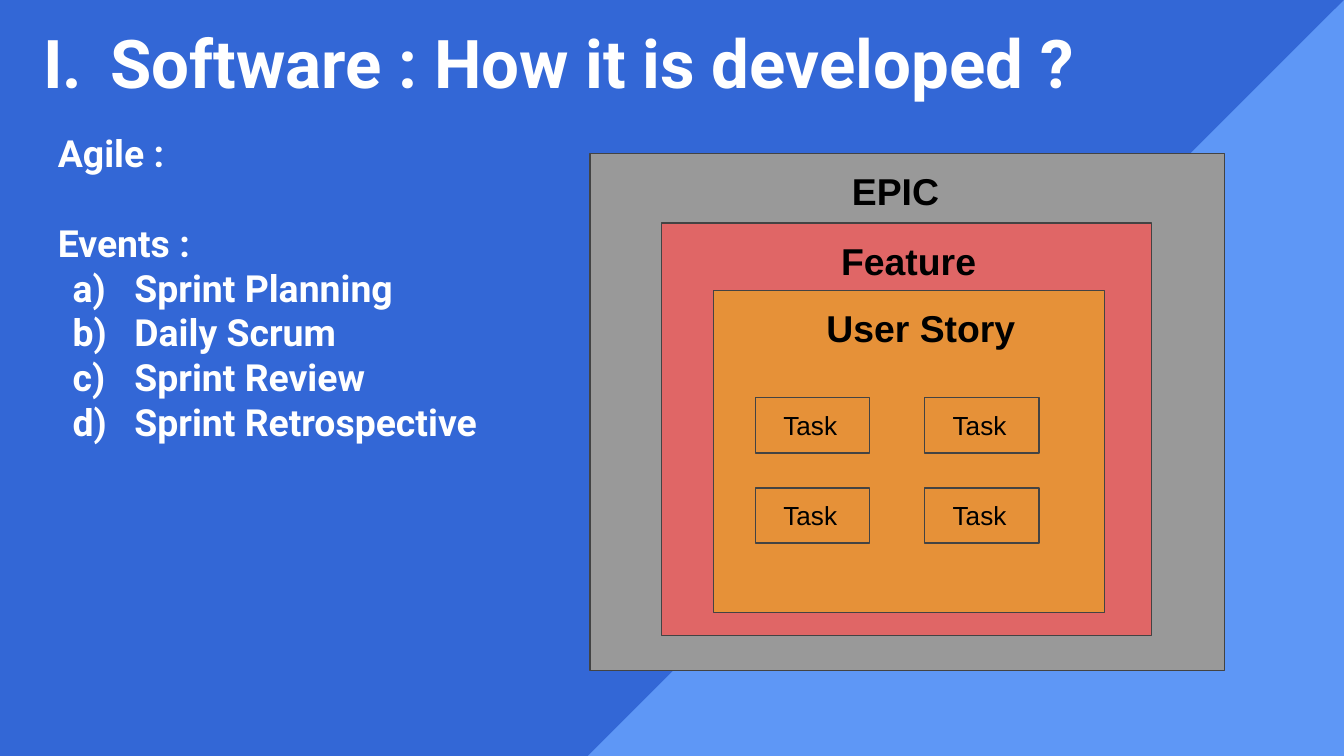
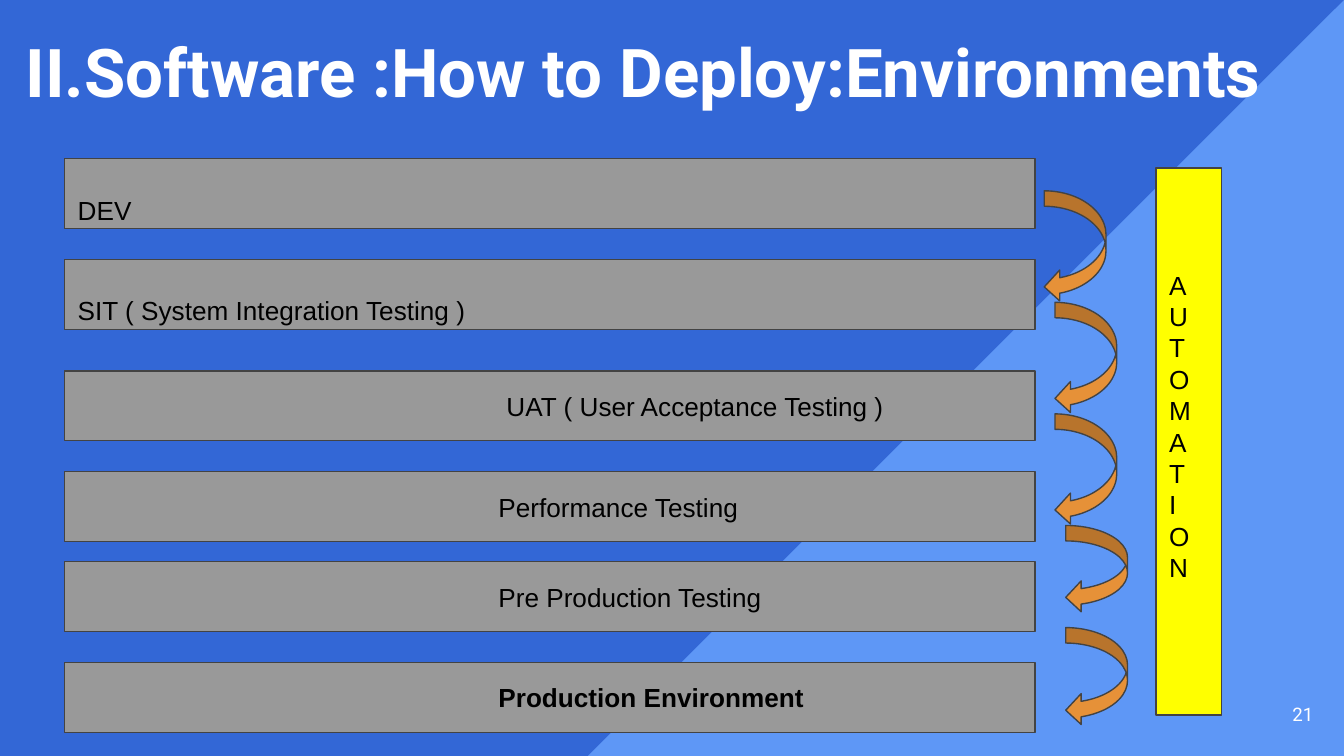
from lxml import etree
from pptx import Presentation
from pptx import util as u
from pptx.dml.color import RGBColor
from pptx.enum import shapes, text
from pptx.oxml.ns import qn

# Grid: square cells of a tenth of an inch, 100 columns by 56.25 rows
CELL = u.Inches(0.1)
COLS, ROWS = 100, 56.25

BLUE, SKY, WHITE, BLACK = "3367D6", "5E97F6", "FFFFFF", "000000"
GRAY, RED, ORANGE, YELLOW, EDGE = "999999", "E06666", "E69138", "FFFF00", "434343"
RECT = shapes.MSO_SHAPE.RECTANGLE
TITLE = dict(size=36, font="Roboto", color=WHITE, bold=True)
LIST = dict(size=20, font="Roboto", color=WHITE, bold=True, anchor="TOP")


def block(page, kind, grid, fill, edge=EDGE):
    """Add a filled shape at (column, row, columns, rows)."""
    shape = page.shapes.add_shape(kind, *[int(n * CELL) for n in grid])
    shape.shadow.inherit = False
    shape.fill.solid()
    shape.fill.fore_color.rgb = RGBColor.from_string(fill)
    if edge:
        shape.line.color.rgb = RGBColor.from_string(edge)
        shape.line.width = u.Pt(0.75)
    else:
        shape.line.fill.background()
    return shape


def write(box, words, size=14, font="Arial", color=BLACK, bold=False, align="LEFT",
          anchor="MIDDLE", indent=0, hang=0, number=None, before=0, top=1, bottom=1):
    """Append lines of text; indents and insets are in grid cells."""
    frame = box.text_frame
    frame.word_wrap = True
    frame.auto_size = text.MSO_AUTO_SIZE.NONE
    frame.vertical_anchor = text.MSO_ANCHOR[anchor]
    frame.margin_left = frame.margin_right = CELL
    frame.margin_top, frame.margin_bottom = int(top * CELL), int(bottom * CELL)
    for line in words.split("\n"):
        para = frame.add_paragraph() if frame.text else frame.paragraphs[0]
        para.alignment = text.PP_ALIGN[align]
        para.space_before, para.space_after = u.Pt(before), u.Pt(0)
        span = para.add_run()
        span.text = line
        span.font.size, span.font.name, span.font.bold = u.Pt(size), font, bold
        span.font.color.rgb = RGBColor.from_string(color)
        props = para._p.get_or_add_pPr()
        props.set("marL", str(int(indent * CELL)))
        props.set("indent", str(int(-hang * CELL)))
        if number:
            etree.SubElement(props, qn("a:buFont")).set("typeface", font)
            etree.SubElement(props, qn("a:buAutoNum")).set("type", number)
        else:
            etree.SubElement(props, qn("a:buNone"))


deck = Presentation()
deck.slide_width, deck.slide_height = int(COLS * CELL), int(ROWS * CELL)
agile = deck.slides.add_slide(deck.slide_layouts[1])
deploy = deck.slides.add_slide(deck.slide_layouts[5])

# Shared backdrop, moved to the slide master
field = block(agile, RECT, (0, 0, COLS, ROWS), BLUE, None)
corner = block(agile, shapes.MSO_SHAPE.RIGHT_TRIANGLE,
               (COLS - ROWS, 0, ROWS, ROWS), SKY, None)
corner.rotation = 270
for order, backdrop in enumerate((field, corner)):
    backdrop.element.nvSpPr.cNvPr.id = 20 + order
    deck.slide_master.element.cSld.spTree.insert(2 + order, backdrop.element)

# Titles and list placeholders
body = agile.placeholders[1]
for box, grid in (
    (agile.shapes.title, (2.2, 0.4, 93.9, 8.3)),
    (body, (3.3, 8.7, 92.7, 43)),
    (deploy.shapes.title, (0.9, 1.1, 97.2, 8.3)),
):
    box.left, box.top, box.width, box.height = [int(n * CELL) for n in grid]
write(agile.shapes.title, "Software : How it is developed ?",
      indent=5, hang=5, number="romanUcPeriod", **TITLE)
write(deploy.shapes.title, "II.Software :How to Deploy:Environments", **TITLE)

# Slide 1: agile events
write(body, "Agile :", **LIST)
write(body, "Events :", before=24, **LIST)
write(body, "Sprint Planning\nDaily Scrum\nSprint Review\nSprint Retrospective",
      indent=5.7, hang=4.6, number="alphaLcParenR", **LIST)

# Slide 1: nested work items, outermost first
for name, fill, grid, label_width, indent in (
    ("EPIC", GRAY, (43.9, 11.4, 47.2, 38.5), 20.2, 7.3),
    ("Feature", RED, (49.2, 16.6, 36.5, 30.7), 25.1, 6.5),
    ("User Story", ORANGE, (53.1, 21.6, 29.1, 24), 25.1, 5.4),
):
    block(agile, RECT, grid, fill)
    label = agile.shapes.add_textbox(
        *[int(n * CELL) for n in (55.1, grid[1] + 0.1, label_width, 4.8)])
    write(label, name, size=20, bold=True, anchor="TOP", indent=indent)

for column in range(2):
    for row in range(2):
        task = block(agile, RECT,
                     (56.2 + 12.6 * column, 29.6 + 6.7 * row, 8.5, 4.1), ORANGE)
        write(task, "Task", indent=1.1)

# Slide 2: environments from development to production
LOW = dict(top=2.4, bottom=0)
for row, name, style in (
    (11.8, "DEV", LOW),
    (19.3, "SIT ( System Integration Testing )", LOW),
    (27.6, "UAT ( User Acceptance Testing )", dict(indent=31.9)),
    (35.1, "Performance Testing", dict(indent=31.3)),
    (41.8, "Pre Production Testing", dict(indent=31.3)),
    (49.3, "Production Environment", dict(indent=31.3, bold=True)),
):
    write(block(deploy, RECT, (4.8, row, 72.2, 5.2), GRAY), name, **style)

# Slide 2: hand-over arrows
for column, row, height in (
    (77.7, 14.2, 8.3), (78.5, 22.5, 8.3), (78.5, 30.8, 8.3),
    (79.3, 39.1, 6.5), (79.3, 46.7, 7.3),
):
    block(deploy, shapes.MSO_SHAPE.CURVED_LEFT_ARROW,
          (column, row, 4.6, height), ORANGE)

# Slide 2: page number and automation bar
page_number = deploy.shapes.add_textbox(*[int(n * CELL) for n in (92.7, 51, 6, 4.3)])
write(page_number, "21", size=10, font="Roboto", color=WHITE, align="RIGHT")
automation = block(deploy, RECT, (86, 12.5, 4.9, 40.7), YELLOW)
write(automation, "\n".join("AUTOMATION"), bottom=3.3)

deck.save("out.pptx")
